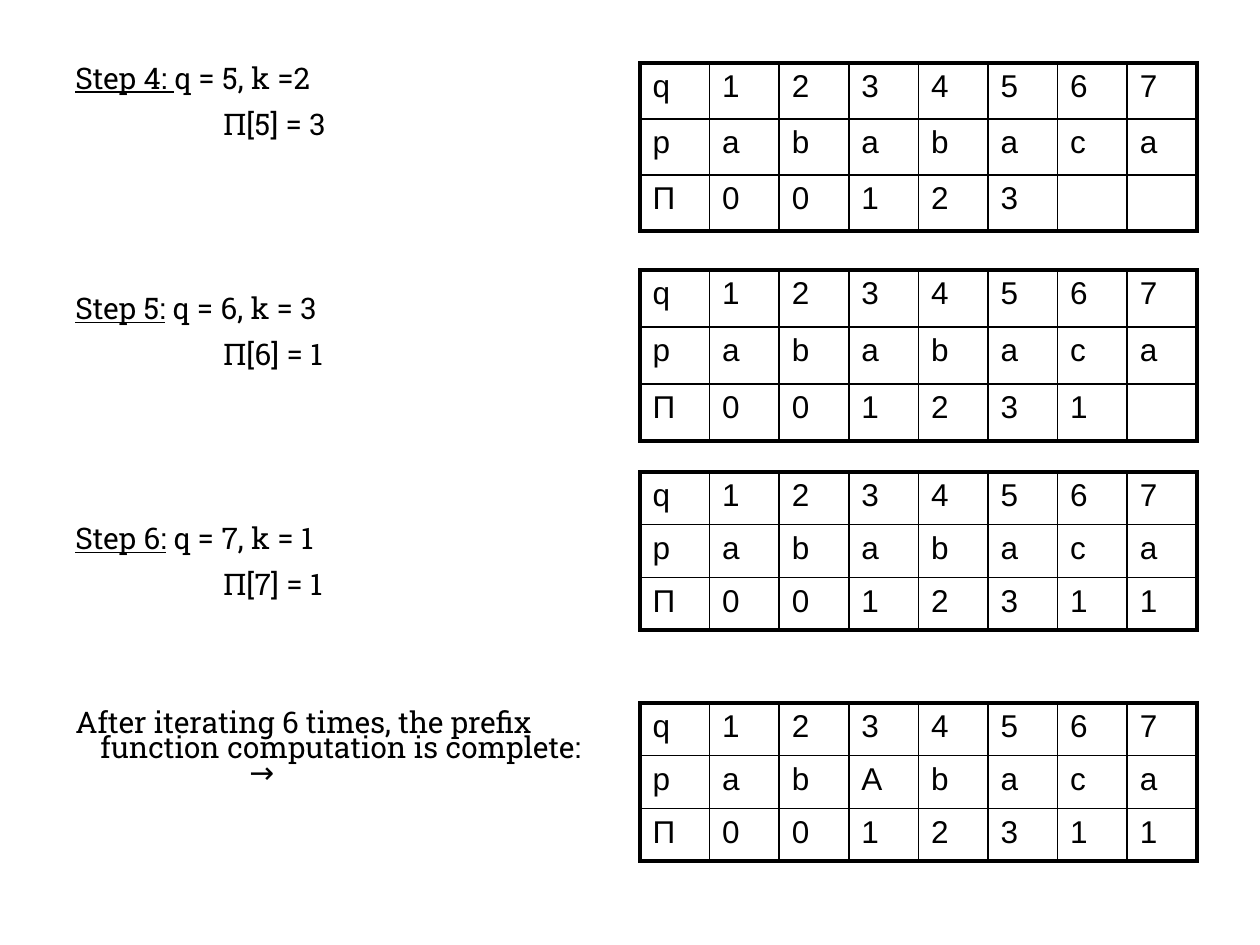
from lxml import etree
from pptx import Presentation
from pptx import util as u
from pptx.dml.color import RGBColor
from pptx.oxml import ns

PX = u.Inches(1) / 126
BLACK = "000000"
THIN, THICK = 1, 2.25
HANG, RESULT, ARROW = 25, 148, 174
LINE_GAP, STEP_GAP, CLOSING_GAP = 12, 91, 64.5

STEPS = [
    ("Step 4: ", "q = 5, k =2", "Π[5] = 3"),
    ("Step 5:", " q = 6, k = 3", "Π[6] = 1"),
    ("Step 6:", " q = 7, k = 1", "Π[7] = 1"),
]
CLOSING = "After iterating 6 times, the prefix function computation is complete:"
TABLES = [
    (63, 168, "ababaca", "00123"),
    (270, 171, "ababaca", "001231"),
    (472, 158, "ababaca", "0012311"),
    (703, 158, "abAbaca", "0012311"),
]


def px(n):
    """Convert pixels to EMU."""
    return u.Emu(round(n * PX))


def color(value):
    """Turn a hex string into a colour."""
    return RGBColor.from_string(value)


def style_run(r, font, size, underline=None):
    """Set the font of a run."""
    r.font.name = font
    r.font.size = u.Pt(size)
    r.font.color.rgb = color(BLACK)
    r.font.underline = underline


def add_line(p, parts, before, margin, hang=0):
    """Fill a paragraph with (text, underline) parts, spacing and indents."""
    p.line_spacing = 0.7
    p.space_before = u.Pt(before)
    pPr = p._p.get_or_add_pPr()
    pPr.set("marL", str(px(margin)))
    pPr.set("indent", str(px(-hang)))
    for content, underline in parts:
        r = p.add_run()
        r.text = content
        style_run(r, "Roboto Slab", 17, underline)


def add_steps(s):
    """Add the text column with the steps and the closing remark."""
    tf = s.shapes.add_textbox(px(63), px(63), px(557), px(781)).text_frame
    tf.word_wrap = True
    p = tf.paragraphs[0]
    before = LINE_GAP
    for label, state, result in STEPS:
        add_line(p, [(label, True), (state, False)], before, HANG, HANG)
        add_line(tf.add_paragraph(), [(result, False)], LINE_GAP, RESULT)
        p = tf.add_paragraph()
        before = STEP_GAP
    add_line(p, [(CLOSING, False)], CLOSING_GAP, HANG, HANG)
    add_line(tf.add_paragraph(), [("→", False)], 0, ARROW)


def set_borders(cell, widths):
    """Draw black cell borders, widths in points by side."""
    tcPr = cell._tc.get_or_add_tcPr()
    for i, (side, width) in enumerate(widths.items()):
        ln = etree.Element(ns.qn(f"a:ln{side}"), w=str(u.Pt(width)))
        fill = etree.SubElement(ln, ns.qn("a:solidFill"))
        etree.SubElement(fill, ns.qn("a:srgbClr"), val=BLACK)
        tcPr.insert(i, ln)


def add_prefix_table(s, top, height, pattern, prefix):
    """Add a table of positions, pattern letters and prefix values."""
    rows = ["q1234567", "p" + pattern, ("Π" + prefix).ljust(8)]
    n_rows, n_cols = len(rows), len(rows[0])
    table = s.shapes.add_table(
        n_rows, n_cols, px(640), px(top), px(557), px(height)).table
    table.first_row = table.horz_banding = False
    for i, row in enumerate(rows):
        for j, value in enumerate(row):
            cell = table.cell(i, j)
            cell.fill.background()
            set_borders(cell, {
                "L": THICK if j == 0 else THIN,
                "R": THICK if j == n_cols - 1 else THIN,
                "T": THICK if i == 0 else THIN,
                "B": THICK if i == n_rows - 1 else THIN,
            })
            cell.text_frame.text = value.strip()
            p = cell.text_frame.paragraphs[0]
            p.space_before = u.Pt(3.6)
            for r in p.runs:
                style_run(r, "Arial", 18)


def main():
    """Build the slide and save it."""
    prs = Presentation()
    prs.slide_width, prs.slide_height = px(1260), px(945)
    s = prs.slides.add_slide(prs.slide_layouts[6])
    add_steps(s)
    for top, height, pattern, prefix in TABLES:
        add_prefix_table(s, top, height, pattern, prefix)
    prs.save("out.pptx")


if __name__ == "__main__":
    main()
